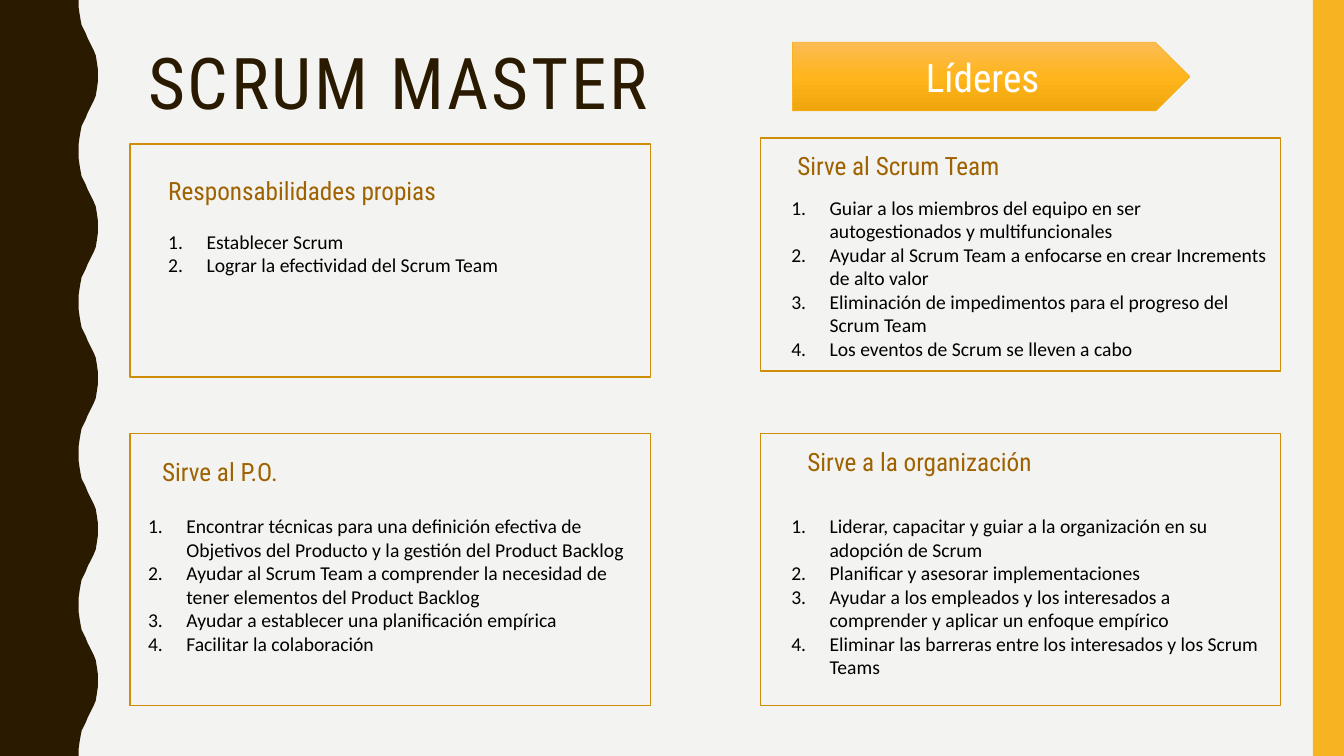
from copy import deepcopy
from dataclasses import dataclass

from lxml.etree import SubElement
from pptx import Presentation
from pptx.dml.color import RGBColor
from pptx.enum.shapes import MSO_SHAPE
from pptx.enum.text import MSO_ANCHOR, MSO_AUTO_SIZE, PP_ALIGN
from pptx.oxml.ns import qn
from pptx.util import Emu, Pt

PX = 9144  # EMU per px, 100 px to the inch
PAGE_WIDTH, PAGE_HEIGHT = 1333, 750

BACKGROUND = RGBColor(0xF3, 0xF3, 0xF2)
DARK_BROWN = RGBColor(0x2A, 0x1A, 0x00)
AMBER = RGBColor(0xF8, 0xB3, 0x23)
FRAME_GOLD = RGBColor(0xCE, 0x8D, 0x07)
HEADING_BROWN = RGBColor(0x9F, 0x62, 0x00)
BLACK = RGBColor(0x00, 0x00, 0x00)
WHITE = RGBColor(0xFF, 0xFF, 0xFF)
ARROW_STOPS = [
    (0, RGBColor(0xFB, 0xBC, 0x54)),
    (0.5, RGBColor(0xFF, 0xB5, 0x1C)),
    (1, RGBColor(0xEF, 0xA6, 0x0C)),
]
HEADING_FONT, BODY_FONT = "Roboto Condensed", "Calibri"

# Half a wave of the left edge, as (x, y); the other half mirrors it
WAVE_PERIOD = 150
HALF_WAVE = [(78, 0), (78, 7), (79, 14), (80, 20), (81, 25), (83, 29), (85, 33),
             (87, 38), (89, 42), (91, 46), (93, 50), (95, 55), (96, 61), (97, 68), (97, 75)]


@dataclass
class Box:
    left: int
    top: int
    width: int
    height: int

    def emu(self) -> list[Emu]:
        return [Emu(side * PX) for side in (self.left, self.top, self.width, self.height)]


@dataclass
class Card:
    frame: Box
    heading: str
    heading_box: Box
    items: list[str]
    items_box: Box


CARDS = [
    Card(Box(129, 143, 516, 231), "Responsabilidades propias", Box(157, 169, 488, 40),
         ["Establecer Scrum", "Lograr la efectividad del Scrum Team"],
         Box(157, 223, 438, 81)),
    Card(Box(754, 137, 516, 231), "Sirve al Scrum Team", Box(781, 144, 384, 40),
         ["Guiar a los miembros del equipo en ser autogestionados y multifuncionales",
          "Ayudar al Scrum Team a enfocarse en crear Increments de alto valor",
          "Eliminación de impedimentos para el progreso del Scrum Team",
          "Los eventos de Scrum se lleven a cabo"],
         Box(775, 189, 496, 175)),
    Card(Box(129, 430, 516, 270), "Sirve al P.O.", Box(151, 448, 384, 40),
         ["Encontrar técnicas para una definición efectiva de Objetivos del Producto "
          "y la gestión del Product Backlog",
          "Ayudar al Scrum Team a comprender la necesidad de tener elementos del Product Backlog",
          "Ayudar a establecer una planificación empírica",
          "Facilitar la colaboración"],
         Box(137, 505, 496, 182)),
    Card(Box(754, 430, 516, 270), "Sirve a la organización", Box(791, 438, 384, 40),
         ["Liderar, capacitar y guiar a la organización en su adopción de Scrum",
          "Planificar y asesorar implementaciones",
          "Ayudar a los empleados y los interesados a comprender y aplicar un enfoque empírico",
          "Eliminar las barreras entre los interesados y los Scrum Teams"],
         Box(775, 505, 496, 175)),
]


def set_font(para, name: str, size: int, color: RGBColor) -> None:
    para.font.name = name
    para.font.size = Pt(size)
    para.font.color.rgb = color


def add_number(para) -> None:
    properties = para._p.get_or_add_pPr()
    indent = 38 * PX
    properties.set("marL", str(indent))
    properties.set("indent", str(-indent))
    SubElement(properties, qn("a:buAutoNum"), type="arabicPeriod")


def add_text(page, box: Box, lines: list[str], font: str, size: int,
             color: RGBColor, numbered: bool = False) -> None:
    frame = page.shapes.add_textbox(*box.emu()).text_frame
    frame.word_wrap = True
    frame.auto_size = MSO_AUTO_SIZE.SHAPE_TO_FIT_TEXT
    frame.text = "\n".join(lines)
    for para in frame.paragraphs:
        if numbered:
            add_number(para)
        set_font(para, font, size, color)


def add_wave(page) -> None:
    mirrored = [(x, WAVE_PERIOD - y) for x, y in reversed(HALF_WAVE[:-1])]
    edge = [(x, y + start) for start in range(0, PAGE_HEIGHT, WAVE_PERIOD)
            for x, y in HALF_WAVE + mirrored]
    builder = page.shapes.build_freeform(0, 0, scale=PX)
    builder.add_line_segments(edge + [(0, PAGE_HEIGHT)], close=True)
    wave = builder.convert_to_shape()
    wave.shadow.inherit = False
    wave.fill.solid()
    wave.fill.fore_color.rgb = DARK_BROWN
    wave.line.fill.background()


def add_side_bar(page) -> None:
    bar = page.shapes.add_shape(MSO_SHAPE.RECTANGLE, *Box(1302, 0, 31, PAGE_HEIGHT).emu())
    bar.shadow.inherit = False
    bar.fill.solid()
    bar.fill.fore_color.rgb = AMBER
    bar.line.fill.background()


def add_title(page) -> None:
    title = page.shapes.title
    title.left, title.top, title.width, title.height = Box(137, 42, 1113, 163).emu()
    frame = title.text_frame
    frame.text = "SCRUM MASTER"
    frame.word_wrap = True
    frame.auto_size = MSO_AUTO_SIZE.NONE
    frame.vertical_anchor = MSO_ANCHOR.TOP
    para = frame.paragraphs[0]
    para.alignment = PP_ALIGN.LEFT
    para.line_spacing = 0.9
    set_font(para, HEADING_FONT, 51, DARK_BROWN)
    para.runs[0]._r.get_or_add_rPr().set("spc", "200")


def add_leaders_arrow(page) -> None:
    arrow = page.shapes.add_shape(MSO_SHAPE.PENTAGON, *Box(786, 42, 394, 68).emu())
    arrow.shadow.inherit = False
    arrow.fill.gradient()
    arrow.fill.gradient_angle = 270
    stop_list = arrow._element.spPr.find(".//" + qn("a:gsLst"))
    while len(stop_list) < len(ARROW_STOPS):
        stop_list.append(deepcopy(stop_list[0]))
    for stop, (position, color) in zip(arrow.fill.gradient_stops, ARROW_STOPS):
        stop.position = position
        stop.color.rgb = color
    arrow.line.color.rgb = AMBER
    arrow.line.width = Pt(0.5)
    frame = arrow.text_frame
    frame.text = "Líderes"
    frame.vertical_anchor = MSO_ANCHOR.MIDDLE
    para = frame.paragraphs[0]
    para.alignment = PP_ALIGN.CENTER
    set_font(para, HEADING_FONT, 28, WHITE)


def add_card(page, card: Card) -> None:
    frame = page.shapes.add_shape(MSO_SHAPE.RECTANGLE, *card.frame.emu())
    frame.shadow.inherit = False
    frame.fill.background()
    frame.line.color.rgb = FRAME_GOLD
    frame.line.width = Pt(1)
    add_text(page, card.heading_box, [card.heading], HEADING_FONT, 18, HEADING_BROWN)
    add_text(page, card.items_box, card.items, BODY_FONT, 14, BLACK, numbered=True)


def main() -> None:
    deck = Presentation()
    deck.slide_width, deck.slide_height = Emu(PAGE_WIDTH * PX), Emu(PAGE_HEIGHT * PX)
    page = deck.slides.add_slide(deck.slide_layouts[5])
    page.background.fill.solid()
    page.background.fill.fore_color.rgb = BACKGROUND

    # Side decoration
    add_wave(page)
    add_side_bar(page)

    # Heading row
    add_title(page)
    add_leaders_arrow(page)

    # Four cards of duties
    for card in CARDS:
        add_card(page, card)

    deck.save("out.pptx")


if __name__ == "__main__":
    main()
